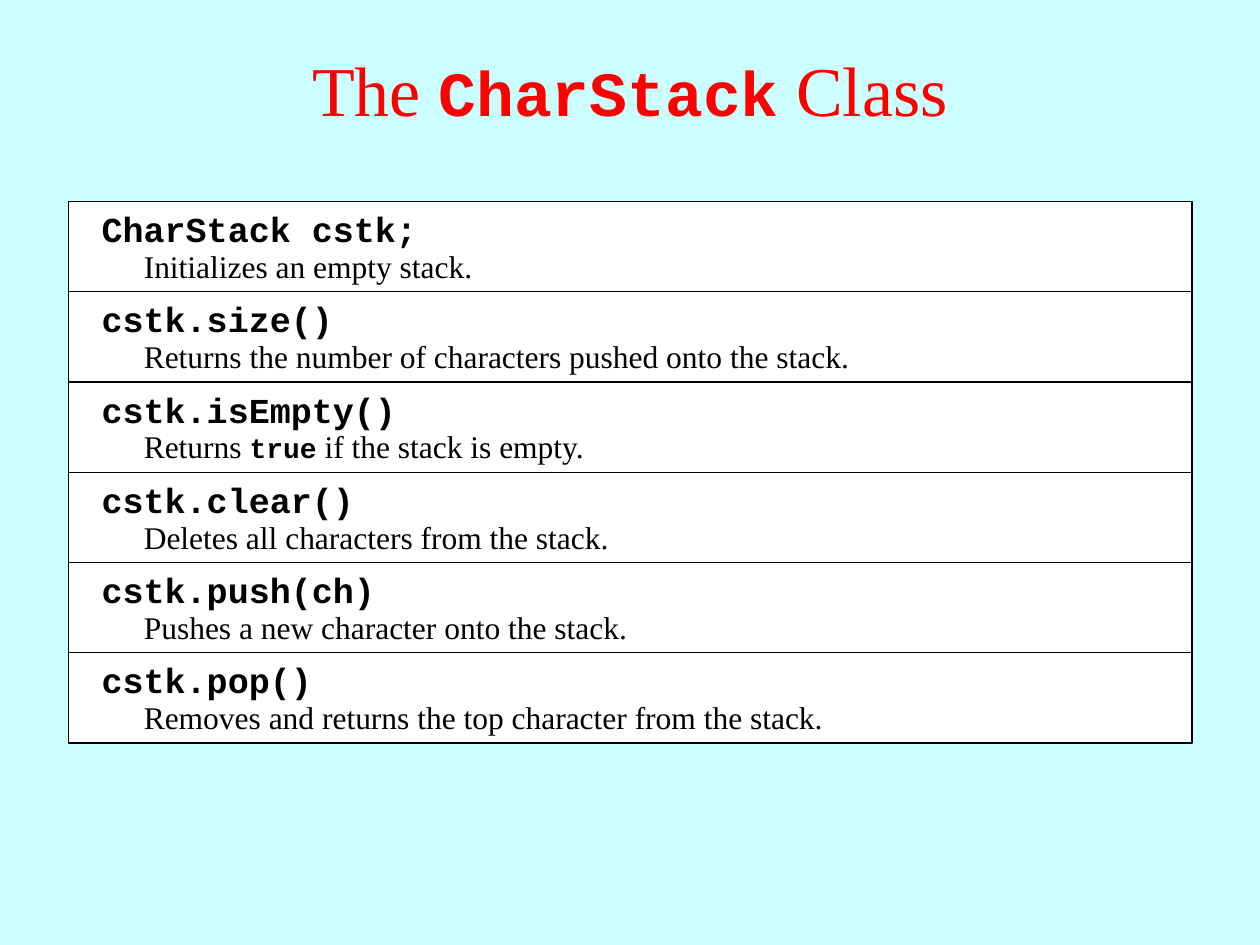
from pptx import Presentation
from pptx.dml.color import RGBColor
from pptx.enum.shapes import MSO_SHAPE as Preset
from pptx.enum.text import MSO_ANCHOR as Anchor, MSO_AUTO_SIZE as AutoSize, PP_ALIGN as Align
from pptx.util import Cm, Pt

PALE_CYAN = RGBColor(0xCC, 0xFF, 0xFF)
WHITE = RGBColor(0xFF, 0xFF, 0xFF)
BLACK = RGBColor(0, 0, 0)
RED = RGBColor(0xFF, 0, 0)

SERIF = "Times New Roman"
MONO = "Courier New"

FIRST_ROW_TOP = 4.06
ROW_HEIGHT = 1.82

# Each method: its call, and the runs of its description as (text, is_code).
METHODS = [
    ("CharStack cstk;", [("Initializes an empty stack.", False)]),
    ("cstk.size()", [("Returns the number of characters pushed onto the stack.", False)]),
    ("cstk.isEmpty()", [("Returns ", False), ("true", True), (" if the stack is empty.", False)]),
    ("cstk.clear()", [("Deletes all characters from the stack.", False)]),
    ("cstk.push(ch)", [("Pushes a new character onto the stack.", False)]),
    ("cstk.pop()", [("Removes and returns the top character from the stack.", False)]),
]


class ClassSlide:
    def __init__(self, presentation):
        self.slide = presentation.slides.add_slide(presentation.slide_layouts[6])
        background = self.slide.background.fill
        background.solid()
        background.fore_color.rgb = PALE_CYAN

    def text(self, shapes, box, runs, serif_size, code_size, color=BLACK):
        text_box = shapes.add_textbox(*(Cm(length) for length in box))
        frame = text_box.text_frame
        frame.word_wrap = True
        paragraph = frame.paragraphs[0]
        for words, is_code in runs:
            run = paragraph.add_run()
            run.text = words
            run.font.name = MONO if is_code else SERIF
            run.font.size = Pt(code_size if is_code else serif_size)
            run.font.bold = is_code
            run.font.color.rgb = color
        return frame

    def title(self, runs):
        frame = self.text(self.slide.shapes, (0, 0.2, 25.4, 3.18), runs, 40, 36, RED)
        frame.vertical_anchor = Anchor.MIDDLE
        frame.paragraphs[0].alignment = Align.CENTER

    def panel(self, shapes, box):
        panel = shapes.add_shape(Preset.RECTANGLE, *(Cm(length) for length in box))
        panel.shadow.inherit = False
        panel.fill.solid()
        panel.fill.fore_color.rgb = WHITE
        panel.line.color.rgb = BLACK
        panel.line.width = Pt(0.75)

    def method_row(self, top, call, description):
        """Group a panel with a method call and its indented description."""
        shapes = self.slide.shapes.add_group_shape().shapes
        self.panel(shapes, (1.38, top, 22.65, ROW_HEIGHT))
        for frame in (
            self.text(shapes, (1.8, top, 21.8, 1.1), [(call, True)], 20, 20),
            self.text(shapes, (2.65, top + 0.79, 21.15, 1.02), description, 18, 16),
        ):
            frame.auto_size = AutoSize.SHAPE_TO_FIT_TEXT


def main():
    presentation = Presentation()
    presentation.slide_width = Cm(25.4)
    presentation.slide_height = Cm(19.05)
    class_slide = ClassSlide(presentation)
    class_slide.title([("The ", False), ("CharStack", True), (" Class", False)])
    for index, (call, description) in enumerate(METHODS):
        class_slide.method_row(FIRST_ROW_TOP + index * ROW_HEIGHT, call, description)
    presentation.save("out.pptx")


if __name__ == "__main__":
    main()
